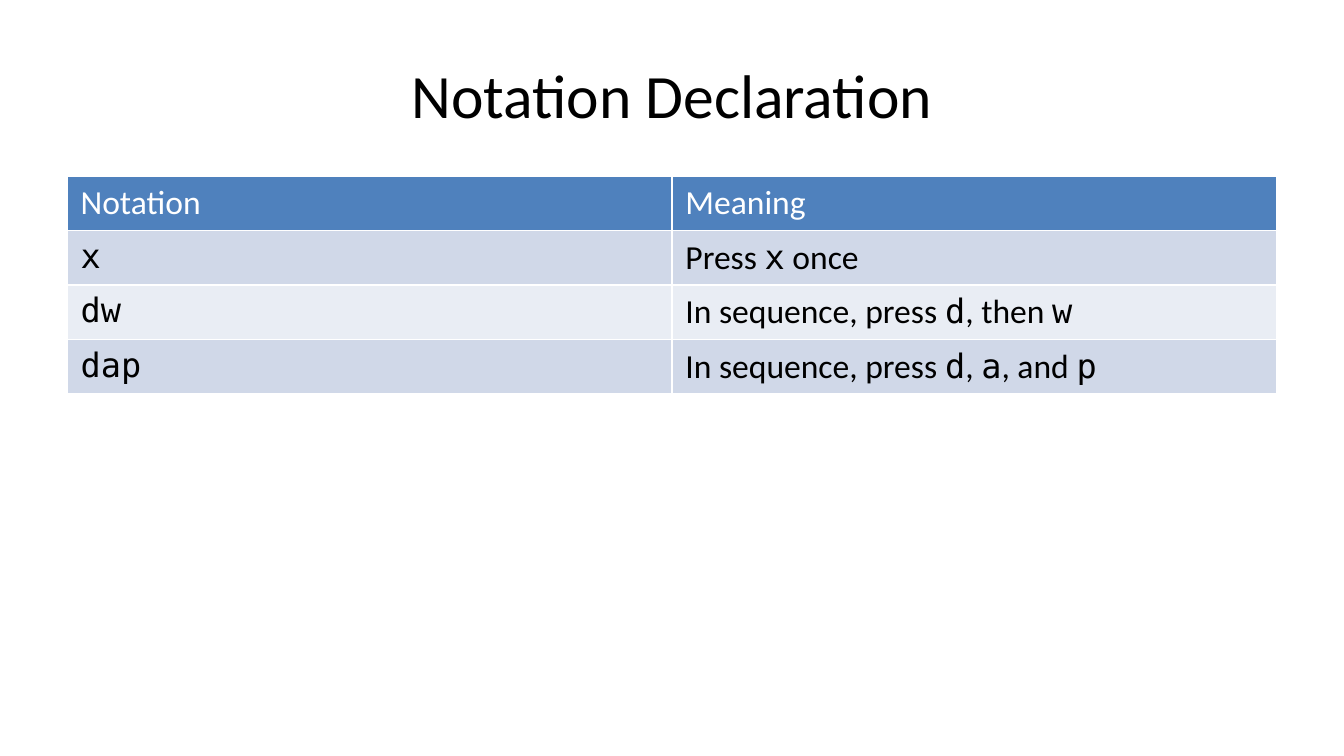
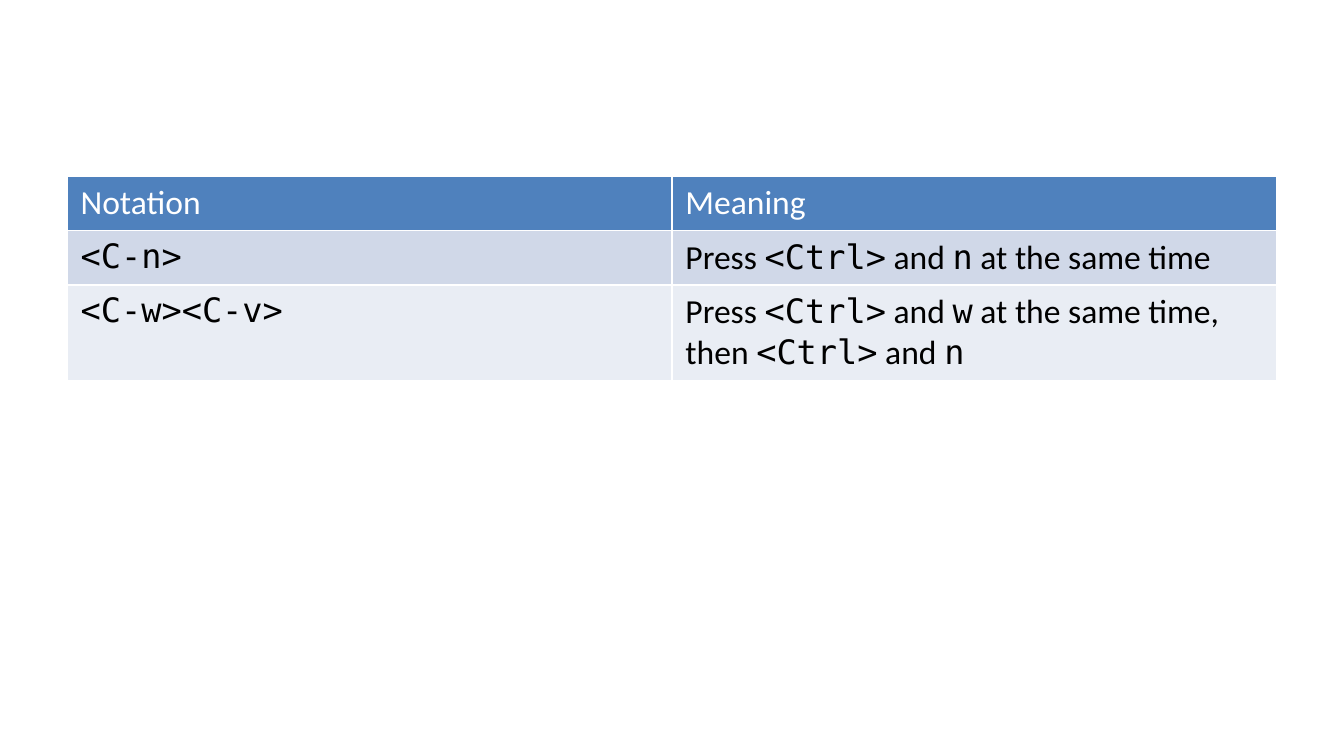
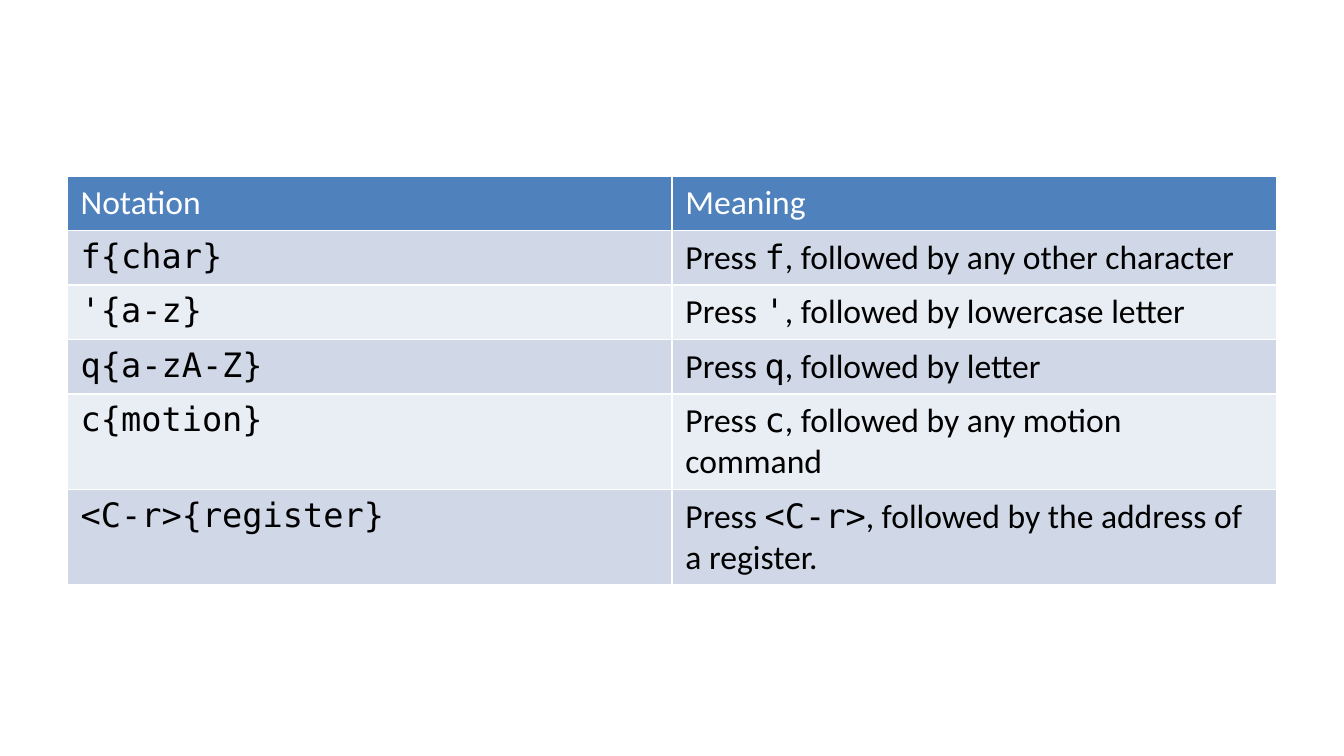
from dataclasses import dataclass

from pptx import Presentation
from pptx.dml.color import RGBColor
from pptx.enum.text import MSO_ANCHOR, PP_ALIGN
from pptx.slide import Slide
from pptx.table import _Cell
from pptx.util import Inches, Pt

BLACK, WHITE = "000000", "FFFFFF"
HEADER_FILL = "4F81BD"
BAND_FILLS = ("D0D8E8", "E9EDF4")
PROSE_FONT, KEY_FONT = "Calibri", "DejaVu Sans Mono"
TITLE_SIZE, TABLE_SIZE = 33, 18
SLIDE_WIDTH = 10
SLIDE_HEIGHT = SLIDE_WIDTH * 9 / 16
MARGIN, CONTENT_WIDTH = 0.5, 9
TITLE_TOP, TITLE_HEIGHT = 0.23, 0.94
TABLE_TOP, TABLE_HEIGHT = 1.31, 3.71
TITLE_ONLY, BLANK = 5, 6
HEADINGS = ("Notation", "Meaning")


@dataclass
class Entry:
    """A key notation and its meaning; keys in the meaning stand in backticks."""
    notation: str
    meaning: str


@dataclass
class NotationSlide:
    """The entries of one slide and its optional title."""
    entries: list[Entry]
    title: str = ""


SLIDES = [
    NotationSlide([
        Entry("x", "Press `x` once"),
        Entry("dw", "In sequence, press `d`, then `w`"),
        Entry("dap", "In sequence, press `d`, `a`, and `p`"),
    ], "Notation Declaration"),
    NotationSlide([
        Entry("<C-n>", "Press `<Ctrl>` and `n` at the same time"),
        Entry("<C-w><C-v>",
              "Press `<Ctrl>` and `w` at the same time, then `<Ctrl>` and `n`"),
    ]),
    NotationSlide([
        Entry("f{char}", "Press `f`, followed by any other character"),
        Entry("'{a-z}", "Press `'`, followed by lowercase letter"),
        Entry("q{a-zA-Z}", "Press `q`, followed by letter"),
        Entry("c{motion}", "Press `c`, followed by any motion command"),
        Entry("<C-r>{register}",
              "Press `<C-r>`, followed by the address of a register."),
    ]),
]


def rgb(color: str) -> RGBColor:
    """Turn a hex string into a colour."""
    return RGBColor.from_string(color)


def format_run(run, size: float, color: str, font: str = PROSE_FONT) -> None:
    """Give a run its font, size and colour in regular weight."""
    run.font.name = font
    run.font.size = Pt(size)
    run.font.bold = False
    run.font.color.rgb = rgb(color)


def fill_cell(cell: _Cell, text: str, fill: str, color: str = BLACK) -> None:
    """Write text into a cell, setting the parts in backticks as keys."""
    cell.fill.solid()
    cell.fill.fore_color.rgb = rgb(fill)
    paragraph = cell.text_frame.paragraphs[0]
    for position, part in enumerate(text.split("`")):
        if part:
            run = paragraph.add_run()
            run.text = part
            format_run(run, TABLE_SIZE, color, KEY_FONT if position % 2 else PROSE_FONT)


def add_title(slide: Slide, text: str) -> None:
    """Place and format the slide title."""
    title = slide.shapes.title
    title.left, title.top = Inches(MARGIN), Inches(TITLE_TOP)
    title.width, title.height = Inches(CONTENT_WIDTH), Inches(TITLE_HEIGHT)
    title.text_frame.text = text
    title.text_frame.vertical_anchor = MSO_ANCHOR.MIDDLE
    paragraph = title.text_frame.paragraphs[0]
    paragraph.alignment = PP_ALIGN.CENTER
    format_run(paragraph.runs[0], TITLE_SIZE, BLACK)


def add_notation_table(slide: Slide, entries: list[Entry]) -> None:
    """Add a table with a header and banded rows that grow to fit their text."""
    frame = slide.shapes.add_table(
        len(entries) + 1, len(HEADINGS), Inches(MARGIN), Inches(TABLE_TOP),
        Inches(CONTENT_WIDTH), Inches(TABLE_HEIGHT))
    table = frame.table
    for row in table.rows:
        row.height = Inches(0)
    frame.height = Inches(TABLE_HEIGHT)
    for column, heading in enumerate(HEADINGS):
        fill_cell(table.cell(0, column), heading, HEADER_FILL, WHITE)
    for index, entry in enumerate(entries):
        band = BAND_FILLS[index % len(BAND_FILLS)]
        fill_cell(table.cell(index + 1, 0), f"`{entry.notation}`", band)
        fill_cell(table.cell(index + 1, 1), entry.meaning, band)


def build() -> None:
    """Build and save the presentation."""
    presentation = Presentation()
    presentation.slide_width = Inches(SLIDE_WIDTH)
    presentation.slide_height = Inches(SLIDE_HEIGHT)
    for content in SLIDES:
        layout = presentation.slide_layouts[TITLE_ONLY if content.title else BLANK]
        slide = presentation.slides.add_slide(layout)
        if content.title:
            add_title(slide, content.title)
        add_notation_table(slide, content.entries)
    presentation.save("out.pptx")


build()
